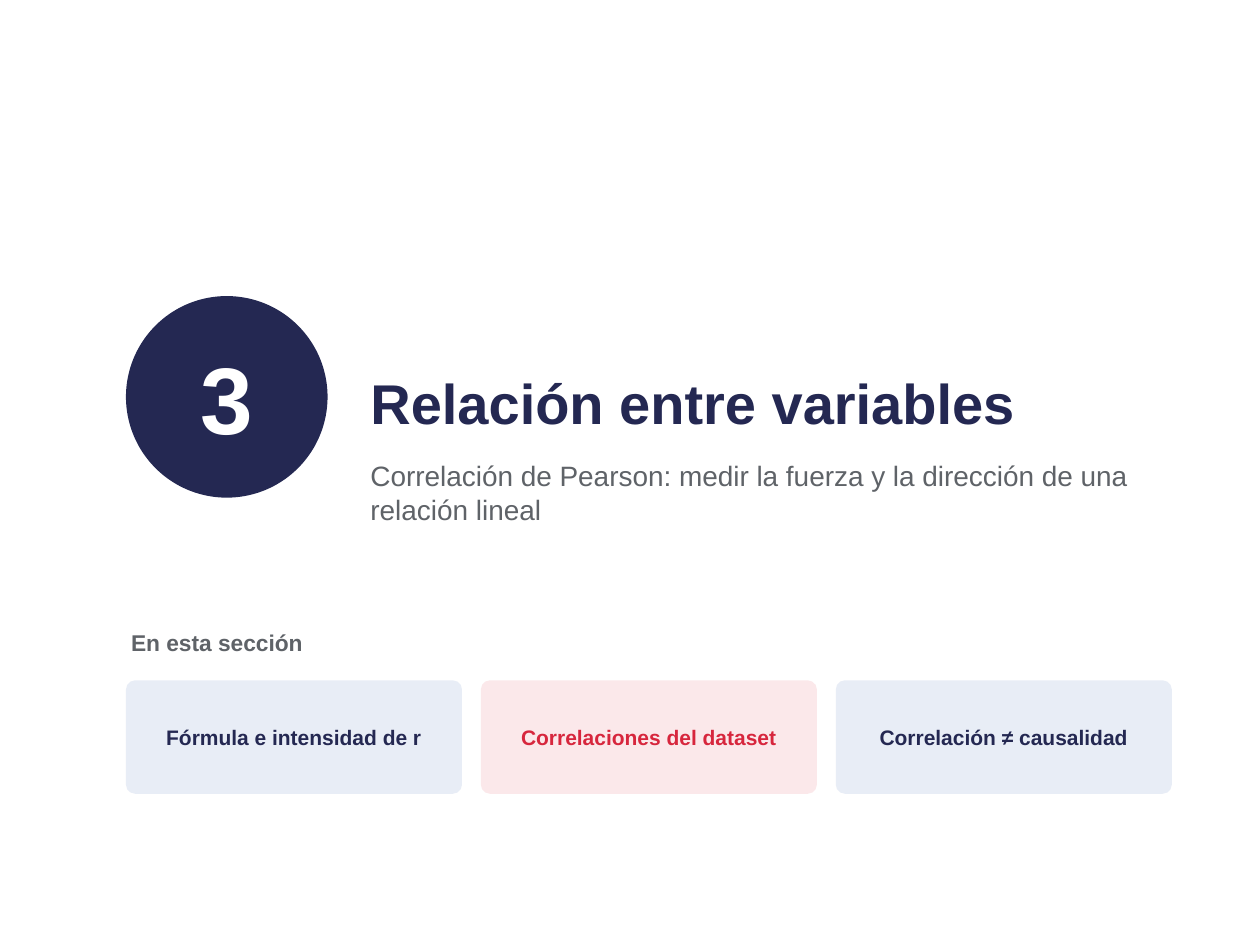
from pptx import Presentation
from pptx.dml.color import RGBColor
from pptx.enum.shapes import MSO_SHAPE
from pptx.enum.text import MSO_ANCHOR, PP_ALIGN
from pptx.util import Inches, Pt

NAVY, RED, GREY, WHITE = "242852", "D7263D", "5F6368", "FFFFFF"
PALE_BLUE, PALE_RED = "E8EDF6", "FBE8EA"
LEFT, RIGHT = 1, 9.3
TITLE_LEFT = 2.9
CARD_GAP = 0.15


def color(value):
    return RGBColor.from_string(value)


def write(shape, text, *, size, ink, bold=True, align=PP_ALIGN.LEFT,
          anchor=MSO_ANCHOR.TOP, inset=0.04, after=4, font="Arial"):
    """Fill the shape's text frame with one formatted paragraph."""
    frame = shape.text_frame
    frame.word_wrap = True
    frame.vertical_anchor = anchor
    frame.margin_left = frame.margin_right = Inches(inset)
    frame.margin_top = frame.margin_bottom = Inches(inset)
    para = frame.paragraphs[0]
    para.alignment = align
    para.space_after = Pt(after)
    span = para.add_run()
    span.text = text
    span.font.name = font
    span.font.size = Pt(size)
    span.font.bold = bold
    span.font.color.rgb = color(ink)


class SectionPage:
    def __init__(self, deck):
        self.page = deck.slides.add_slide(deck.slide_layouts[6])
        background = self.page.background.fill
        background.solid()
        background.fore_color.rgb = color(WHITE)

    def text(self, text, left, top, width, height, **style):
        box = self.page.shapes.add_textbox(
            Inches(left), Inches(top), Inches(width), Inches(height))
        write(box, text, **style)

    def shape(self, kind, text, left, top, width, height, *, fill, **style):
        """Add a borderless filled shape with centred text."""
        shape = self.page.shapes.add_shape(
            kind, Inches(left), Inches(top), Inches(width), Inches(height))
        shape.shadow.inherit = False
        shape.fill.solid()
        shape.fill.fore_color.rgb = color(fill)
        shape.line.fill.background()
        write(shape, text, align=PP_ALIGN.CENTER, anchor=MSO_ANCHOR.MIDDLE,
              inset=0.08, after=3, **style)
        return shape

    def badge(self, text, left, top, diameter):
        self.shape(MSO_SHAPE.OVAL, text, left, top, diameter, diameter,
                   fill=NAVY, size=54, ink=WHITE)

    def cards(self, cards, top, height):
        """Spread equal cards between the left and right margins."""
        width = (RIGHT - LEFT - CARD_GAP * (len(cards) - 1)) / len(cards)
        for index, (text, fill, ink) in enumerate(cards):
            left = LEFT + index * (width + CARD_GAP)
            card = self.shape(MSO_SHAPE.ROUNDED_RECTANGLE, text, left, top,
                              width, height, fill=fill, size=12, ink=ink)
            card.adjustments[0] = 0.08


def main():
    deck = Presentation()
    deck.slide_width, deck.slide_height = Inches(10), Inches(7.5)
    section = SectionPage(deck)
    section.text("En esta sección", LEFT, 4.95, RIGHT - LEFT, 0.4,
                 size=13, ink=GREY)
    section.cards([
        ("Fórmula e intensidad de r", PALE_BLUE, NAVY),
        ("Correlaciones del dataset", PALE_RED, RED),
        ("Correlación ≠ causalidad", PALE_BLUE, NAVY),
    ], top=5.4, height=0.9)
    section.badge("3", LEFT, 2.35, 1.6)
    section.text("Relación entre variables", TITLE_LEFT, 2,
                 RIGHT - TITLE_LEFT, 1.5, size=32, ink=NAVY,
                 anchor=MSO_ANCHOR.BOTTOM)
    section.text("Correlación de Pearson: medir la fuerza y la dirección "
                 "de una relación lineal", TITLE_LEFT, 3.6,
                 RIGHT - TITLE_LEFT, 1.2, size=16, ink=GREY, bold=False)
    deck.save("out.pptx")


if __name__ == "__main__":
    main()
